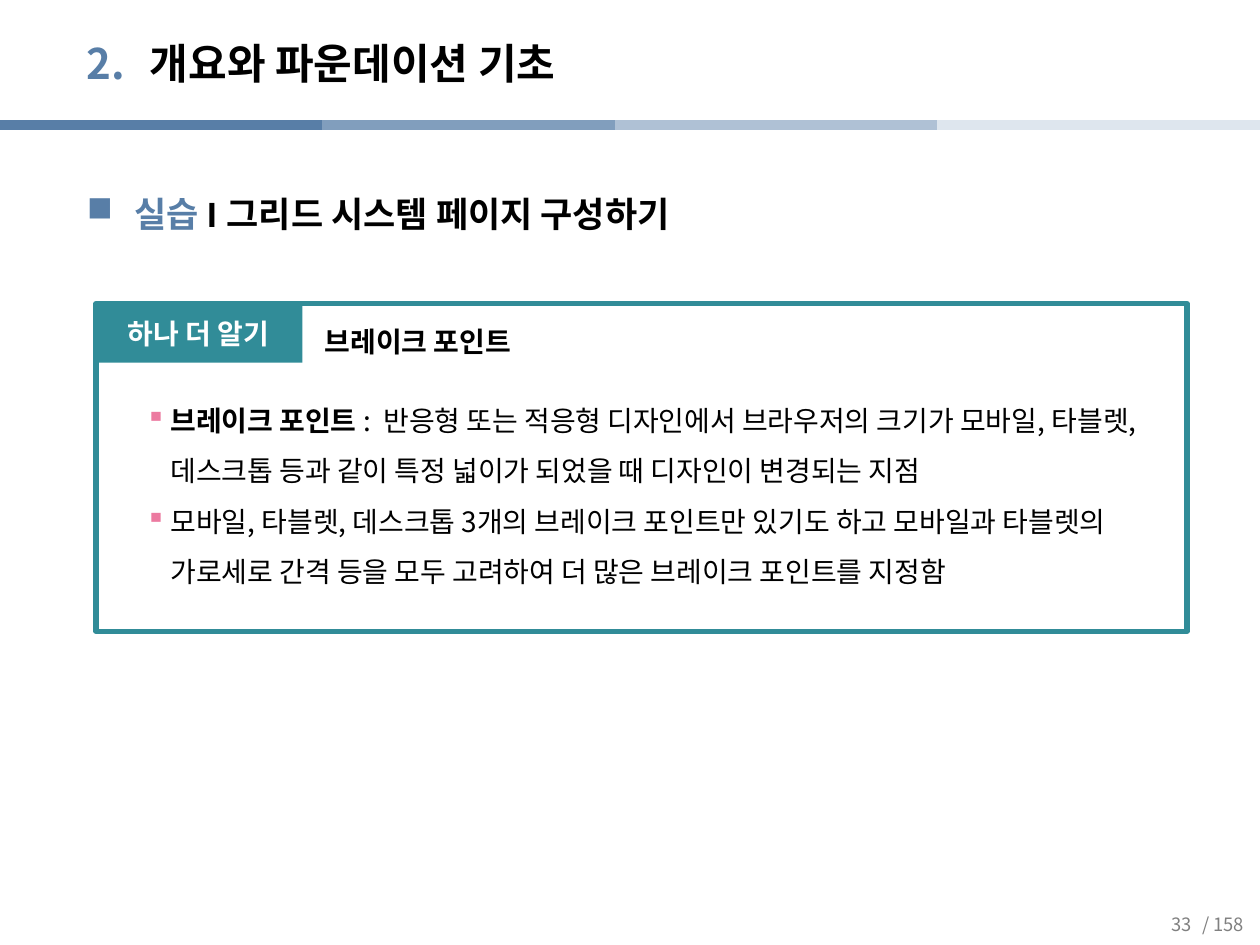
from dataclasses import dataclass

from lxml.etree import SubElement
from pptx import Presentation
from pptx.dml.color import RGBColor
from pptx.enum.shapes import MSO_CONNECTOR, MSO_SHAPE
from pptx.enum.text import MSO_ANCHOR, PP_ALIGN
from pptx.oxml.ns import qn
from pptx.util import Pt


@dataclass(frozen=True)
class Theme:
    blue: str = "587EA7"
    bands: tuple = ("819EBD", "AFC1D5", "DEE6EE")
    teal: str = "318C98"
    pink: str = "EC7AA0"
    gray: str = "808080"
    black: str = "000000"
    white: str = "FFFFFF"
    latin: str = "Arial"
    sans: str = "Noto Sans CJK KR"
    title: float = 24
    head: float = 20
    text: float = 16
    page: float = 10.5


theme = Theme()
rgb = RGBColor.from_string


def set_text(shape, size, color, paras, face=theme.sans, bold=False, align=PP_ALIGN.LEFT,
             space=None, bullet=None, indent=(0, 0), anchor=MSO_ANCHOR.MIDDLE):
    """Fill a shape with paragraphs of (text, own colour, own bold) runs.

    bullet is (colour, tag, attributes); indent is (left margin, first line).
    """
    frame = shape.text_frame
    frame.word_wrap = True
    frame.vertical_anchor = anchor
    for i, runs in enumerate(paras):
        para = frame.add_paragraph() if i else frame.paragraphs[0]
        para.alignment = align
        if space:
            para.line_spacing = space
        if bullet:
            tint, tag, attrs = bullet
            props = para._p.get_or_add_pPr()
            props.set("marL", str(Pt(indent[0])))
            props.set("indent", str(Pt(indent[1])))
            SubElement(SubElement(props, qn("a:buClr")), qn("a:srgbClr"), val=tint)
            SubElement(props, qn(tag), attrs)
        font = para.font
        font.size, font.bold, font.name = Pt(size), bold, face
        font.color.rgb = rgb(color)
        SubElement(font._element, qn("a:ea"), typeface=theme.sans)
        for words, tint, heavy in runs:
            run = para.add_run()
            run.text = words
            if tint:
                run.font.color.rgb = rgb(tint)
            if heavy is not None:
                run.font.bold = heavy


def add_rect(left, top, width, height, fill):
    rect = slide.shapes.add_shape(MSO_SHAPE.RECTANGLE, Pt(left), Pt(top), Pt(width), Pt(height))
    rect.shadow.inherit = False
    rect.fill.solid()
    rect.fill.fore_color.rgb = rgb(fill)
    rect.line.fill.background()
    return rect


deck = Presentation()
deck.slide_width, deck.slide_height = Pt(720), Pt(540)
slide = deck.slides.add_slide(deck.slide_layouts[6])
add_box = slide.shapes.add_textbox

# Header rule: three bands run to the right edge, the blue one overlaps the first
band = 184.3
starts = [720 - band * n for n in (3, 2, 1)] + [0]
for left, color in zip(starts, theme.bands + (theme.blue,)):
    rule = slide.shapes.add_connector(
        MSO_CONNECTOR.STRAIGHT, Pt(left), Pt(71.4), Pt(left + band), Pt(71.4))
    rule.line.color.rgb = rgb(color)
    rule.line.width = Pt(6)
    SubElement(rule._element.spPr, qn("a:effectLst"))

# Page number
for left, label in ((649.4, "33"), (673.2, "/ 158")):
    page = add_box(Pt(left), Pt(514.1), Pt(51.1), Pt(28.1))
    frame = page.text_frame
    frame.margin_left = frame.margin_right = Pt(5)
    frame.margin_top = frame.margin_bottom = Pt(3)
    set_text(page, theme.page, theme.gray, [[(label, None, None)]], align=PP_ALIGN.CENTER)

# Title and heading
title = add_box(Pt(42.5), Pt(14.4), Pt(538.6), Pt(43.2))
set_text(title, theme.title, theme.black, [[("개요와 파운데이션 기초", None, None)]], bold=True,
         bullet=(theme.blue, "a:buAutoNum", {"type": "arabicPeriod", "startAt": "2"}),
         indent=(36, -36))

head = add_box(Pt(42.5), Pt(94.3), Pt(646.6), Pt(425.5))
set_text(head, theme.head, theme.black,
         [[("실습 ", theme.blue, None), ("I 그리드 시스템 페이지 구성하기", None, None)]],
         face=theme.latin, bold=True, space=1.5, anchor=MSO_ANCHOR.TOP,
         bullet=(theme.blue, "a:buChar", {"char": "■"}), indent=(27.4, -27.4))

# Framed note
top, tall = 173.5, 33.8
panel = add_rect(54.9, top, 623.5, 187.2, theme.white)
panel.line.color.rgb = rgb(theme.teal)
panel.line.width = Pt(3)

notes = [
    [("브레이크 포인트 ", None, True),
     (":  반응형 또는 적응형 디자인에서 브라우저의 크기가 모바일, 타블렛, 데스크톱 등과 같이 "
      "특정 넓이가 되었을 때 디자인이 변경되는 지점", None, None)],
    [("모바일, 타블렛, 데스크톱 3개의 브레이크 포인트만 있기도 하고 모바일과 타블렛의 "
      "가로세로 간격 등을 모두 고려하여 더 많은 브레이크 포인트를 지정함", None, None)],
]
body = add_box(Pt(54.9), Pt(217.4), Pt(625), Pt(132.5))
set_text(body, theme.text, theme.black, notes, space=1.5, anchor=MSO_ANCHOR.TOP,
         bullet=(theme.pink, "a:buChar", {"char": "▪"}), indent=(35.5, -14.2))

tab = add_rect(54, top, 118.8, tall, theme.teal)
set_text(tab, theme.text, theme.white, [[("하나 더 알기", None, None)]], bold=True,
         align=PP_ALIGN.CENTER)

topic = add_box(Pt(178.6), Pt(top), Pt(452.2), Pt(tall))
set_text(topic, theme.text, theme.black, [[("브레이크 포인트", None, None)]], bold=True, space=1.5)

deck.save("out.pptx")
